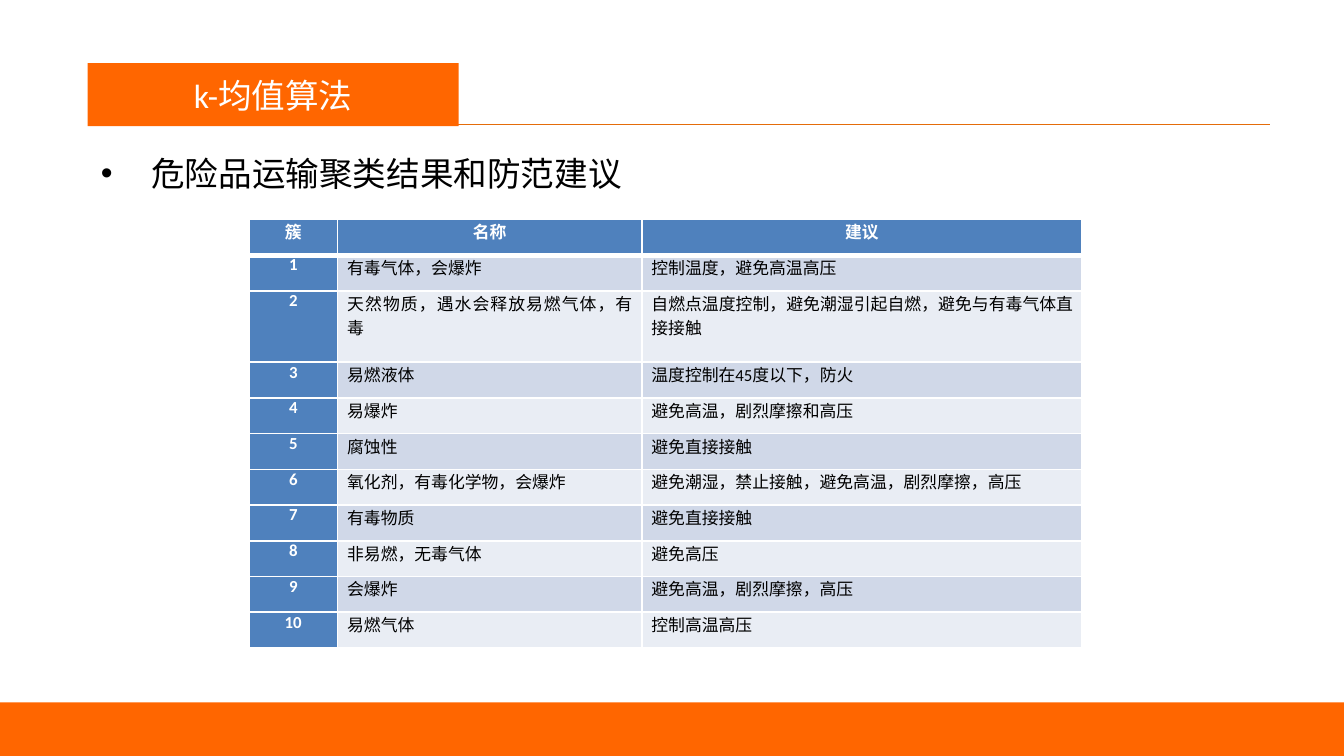
from dataclasses import dataclass

from lxml.etree import SubElement
from pptx import Presentation
from pptx.dml.color import RGBColor
from pptx.enum.shapes import MSO_CONNECTOR, MSO_SHAPE
from pptx.enum.text import MSO_ANCHOR, MSO_AUTO_SIZE, PP_ALIGN
from pptx.oxml import parse_xml
from pptx.oxml.ns import nsdecls, qn
from pptx.util import Pt

COLORS = {
    "white": "FFFFFF", "black": "000000", "orange": "FF6600",
    "rule": "E46C0A", "head": "4F81BD", "odd": "D0D8E8", "even": "E9EDF4",
}
LATIN, CJK = "Calibri", "Noto Sans CJK SC"
HEADINGS = ("簇", "名称", "建议")
COL_WIDTHS = (47.4, 163, 236)
ROW_HEIGHT = 19.14


@dataclass
class Cluster:
    name: str
    advice: str
    lines: int = 1


CLUSTERS = [
    Cluster("有毒气体，会爆炸", "控制温度，避免高温高压"),
    Cluster("天然物质，遇水会释放易燃气体，有毒",
            "自燃点温度控制，避免潮湿引起自燃，避免与有毒气体直接接触", 2),
    Cluster("易燃液体", "温度控制在45度以下，防火"),
    Cluster("易爆炸", "避免高温，剧烈摩擦和高压"),
    Cluster("腐蚀性", "避免直接接触"),
    Cluster("氧化剂，有毒化学物，会爆炸", "避免潮湿，禁止接触，避免高温，剧烈摩擦，高压"),
    Cluster("有毒物质", "避免直接接触"),
    Cluster("非易燃，无毒气体", "避免高压"),
    Cluster("会爆炸", "避免高温，剧烈摩擦，高压"),
    Cluster("易燃气体", "控制高温高压"),
]


def rgb(name: str) -> RGBColor:
    return RGBColor.from_string(COLORS[name])


def fill_shape(sp, color: str) -> None:
    sp.fill.solid()
    sp.fill.fore_color.rgb = rgb(color)


def add_run(p, text: str, size: float, color: str, bold: bool = False) -> None:
    r = p.add_run()
    r.text = text
    r.font.size, r.font.bold, r.font.name = Pt(size), bold, LATIN
    r.font.color.rgb = rgb(color)
    SubElement(r.font._element, qn("a:ea")).set("typeface", CJK)


def set_borders(cell, bottom: float) -> None:
    widths = {"lnL": 1, "lnR": 1, "lnT": 1, "lnB": bottom}
    for i, (tag, width) in enumerate(widths.items()):
        cell._tc.get_or_add_tcPr().insert(i, parse_xml(
            f'<a:{tag} {nsdecls("a")} w="{Pt(width)}"><a:solidFill>'
            f'<a:srgbClr val="{COLORS["white"]}"/></a:solidFill></a:{tag}>'))


def fill_cell(cell, text: str, fill: str, strong: bool, bottom: float) -> None:
    cell.margin_left = cell.margin_right = Pt(5.2)
    cell.margin_top = cell.margin_bottom = Pt(0)
    fill_shape(cell, fill)
    set_borders(cell, bottom)
    p = cell.text_frame.paragraphs[0]
    p.alignment = PP_ALIGN.CENTER if strong else PP_ALIGN.JUSTIFY
    add_run(p, text, 9, "white" if strong else "black", strong)


def add_cluster_table(s) -> None:
    lines = [1] + [c.lines for c in CLUSTERS]
    frame = s.shapes.add_table(len(lines), len(HEADINGS), Pt(133.4), Pt(117.5),
                               Pt(sum(COL_WIDTHS)), Pt(ROW_HEIGHT * sum(lines)))
    table = frame.table
    table.first_row = table.horz_banding = False
    for col, width in zip(table.columns, COL_WIDTHS):
        col.width = Pt(width)
    for row, count in zip(table.rows, lines):
        row.height = Pt(ROW_HEIGHT * count)
    for j, heading in enumerate(HEADINGS):
        fill_cell(table.cell(0, j), heading, "head", True, 3)
    for i, c in enumerate(CLUSTERS, 1):
        band = "odd" if i % 2 else "even"
        for j, text in enumerate((str(i), c.name, c.advice)):
            fill_cell(table.cell(i, j), text, band if j else "head", j == 0, 1)


prs = Presentation()
prs.slide_width, prs.slide_height = Pt(720), Pt(405)
s = prs.slides.add_slide(prs.slide_layouts[5])

# Header rule
rule = s.shapes.add_connector(MSO_CONNECTOR.STRAIGHT, Pt(59), Pt(66.8), Pt(680.4), Pt(66.8))
rule.line.color.rgb = rgb("rule")
rule.line.width = Pt(0.75)
SubElement(rule._element.spPr, qn("a:effectLst"))

# Footer bar
footer = s.shapes.add_shape(MSO_SHAPE.RECTANGLE, Pt(0), Pt(376.3), Pt(720), Pt(28.7))
footer.shadow.inherit = False
fill_shape(footer, "orange")
footer.line.fill.background()

# Title, in front of the rule
title = s.shapes.title
s.shapes._spTree.append(title._element)
title.left, title.top, title.width, title.height = Pt(47), Pt(33.8), Pt(198.7), Pt(33.8)
fill_shape(title, "orange")
tf = title.text_frame
tf.auto_size, tf.vertical_anchor = MSO_AUTO_SIZE.NONE, MSO_ANCHOR.MIDDLE
tf.paragraphs[0].alignment = PP_ALIGN.CENTER
add_run(tf.paragraphs[0], "k-均值算法", 18, "white")

# Bulleted subject
subject = s.shapes.add_textbox(Pt(47), Pt(78.5), Pt(633.6), Pt(29))
tf = subject.text_frame
tf.word_wrap = True
p = tf.paragraphs[0]
pPr = p._p.get_or_add_pPr()
pPr.set("marL", str(Pt(27)))
pPr.set("indent", str(-Pt(27)))
SubElement(pPr, qn("a:buFont")).set("typeface", "Arial")
SubElement(pPr, qn("a:buChar")).set("char", "•")
add_run(p, "危险品运输聚类结果和防范建议", 18, "black")

# Cluster table
add_cluster_table(s)

prs.save("out.pptx")
